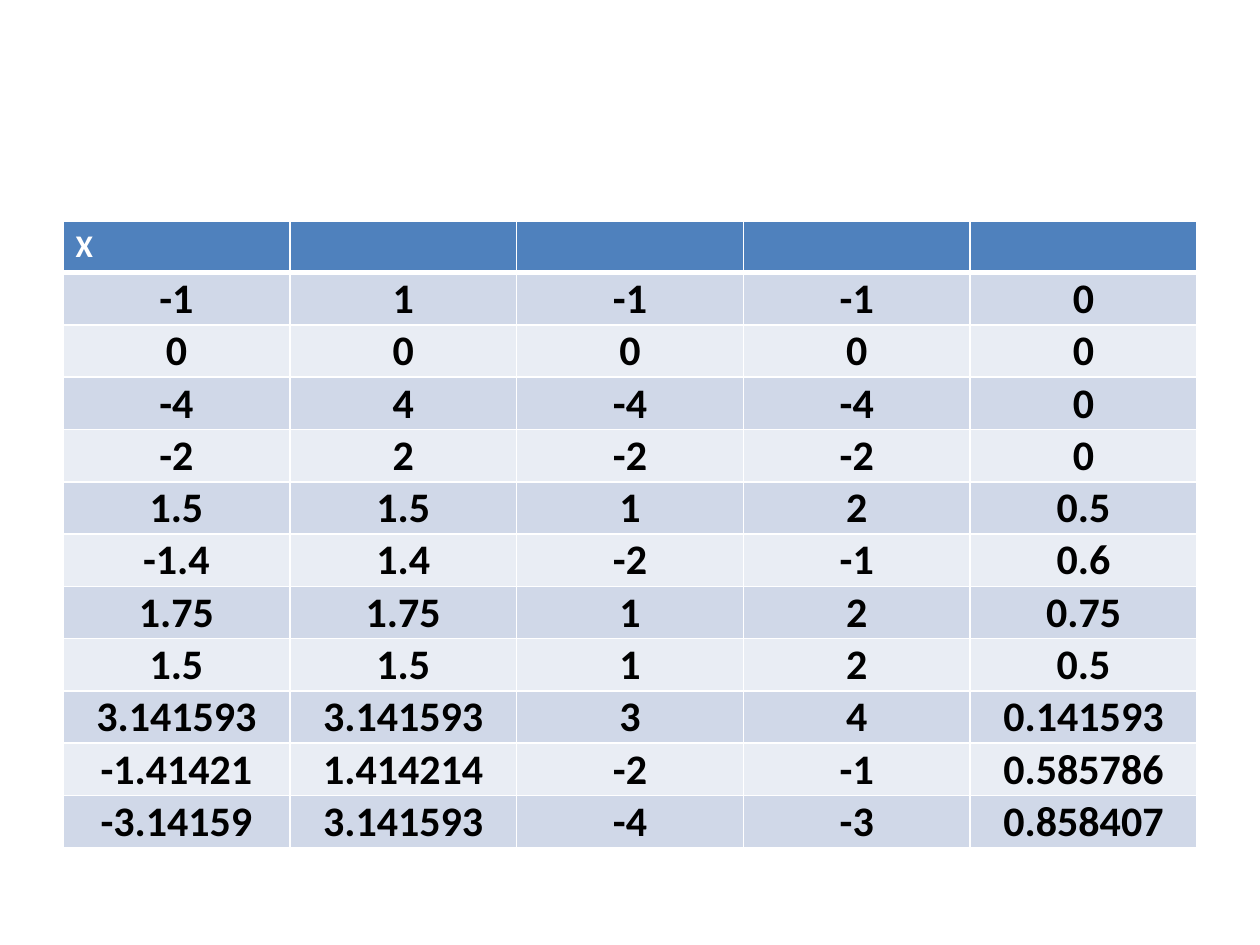
from dataclasses import dataclass

from lxml.etree import SubElement
from pptx import Presentation
from pptx.dml.color import RGBColor
from pptx.enum.text import MSO_ANCHOR, PP_ALIGN
from pptx.oxml.ns import qn
from pptx.util import Emu, Pt

PIXEL = 914400 / 126


def px(count):
    """Turn whole pixels into EMU."""
    return Emu(round(count * PIXEL))


@dataclass(frozen=True)
class Theme:
    """Colours, font and sizes of the slide."""

    font: str = "Calibri"
    header_fill: str = "4F81BD"
    header_text: str = "FFFFFF"
    bands: tuple = ("D0D8E8", "E9EDF4")
    body_text: str = "000000"
    border: str = "FFFFFF"
    header_size: int = 18
    body_size: int = 24
    thin: int = 1
    thick: int = 3


class SlideBuilder:
    """Draw styled elements on the current slide."""

    def __init__(self, slide, theme):
        self.slide = slide
        self.theme = theme

    def add_text(self, cell, text, size, color):
        """Write one bold run into a cell."""
        span = cell.text_frame.paragraphs[0].add_run()
        span.text = text
        span.font.name = self.theme.font
        span.font.size = Pt(size)
        span.font.bold = True
        span.font.color.rgb = RGBColor.from_string(color)

    def add_borders(self, cell, top, bottom):
        """Line the four sides of a cell."""
        properties = cell._tc.get_or_add_tcPr()
        thin = self.theme.thin
        sides = {"lnL": thin, "lnR": thin, "lnT": top, "lnB": bottom}
        for side, width in sides.items():
            line = SubElement(properties, qn(f"a:{side}"), w=str(Pt(width)))
            fill = SubElement(line, qn("a:solidFill"))
            SubElement(fill, qn("a:srgbClr"), val=self.theme.border)

    def fill_cell(self, cell, color):
        """Give a cell a solid fill."""
        cell.fill.solid()
        cell.fill.fore_color.rgb = RGBColor.from_string(color)

    def add_header_cell(self, cell, text):
        """Style a heading cell."""
        theme = self.theme
        self.add_borders(cell, theme.thin, theme.thick)
        self.fill_cell(cell, theme.header_fill)
        if text:
            self.add_text(cell, text, theme.header_size, theme.header_text)

    def add_body_cell(self, cell, text, row):
        """Style a value cell by its row."""
        theme = self.theme
        self.add_borders(cell, theme.thick if row == 1 else theme.thin, theme.thin)
        self.fill_cell(cell, theme.bands[(row - 1) % len(theme.bands)])
        cell.margin_left = cell.margin_right = cell.margin_top = px(1)
        cell.margin_bottom = px(0)
        cell.vertical_anchor = MSO_ANCHOR.BOTTOM
        cell.text_frame.paragraphs[0].alignment = PP_ALIGN.CENTER
        self.add_text(cell, text, theme.body_size, theme.body_text)

    def add_table(self, rows, left, top, width, height):
        """Draw a table with a heading row and banded values."""
        frame = self.slide.shapes.add_table(
            len(rows), len(rows[0]), px(left), px(top), px(width), px(height)
        )
        for row, values in enumerate(rows):
            for column, text in enumerate(values):
                cell = frame.table.cell(row, column)
                if row == 0:
                    self.add_header_cell(cell, text)
                else:
                    self.add_body_cell(cell, text, row)


ROUNDING_ROWS = [
    ("X", "", "", "", ""),
    ("-1", "1", "-1", "-1", "0"),
    ("0", "0", "0", "0", "0"),
    ("-4", "4", "-4", "-4", "0"),
    ("-2", "2", "-2", "-2", "0"),
    ("1.5", "1.5", "1", "2", "0.5"),
    ("-1.4", "1.4", "-2", "-1", "0.6"),
    ("1.75", "1.75", "1", "2", "0.75"),
    ("1.5", "1.5", "1", "2", "0.5"),
    ("3.141593", "3.141593", "3", "4", "0.141593"),
    ("-1.41421", "1.414214", "-2", "-1", "0.585786"),
    ("-3.14159", "3.141593", "-4", "-3", "0.858407"),
]


def main():
    """Build and save the deck."""
    deck = Presentation()
    deck.slide_width, deck.slide_height = px(1260), px(945)
    page = deck.slides.add_slide(deck.slide_layouts[6])
    builder = SlideBuilder(page, Theme())
    builder.add_table(ROUNDING_ROWS, left=63, top=221, width=1134, height=620)
    deck.save("out.pptx")


if __name__ == "__main__":
    main()
